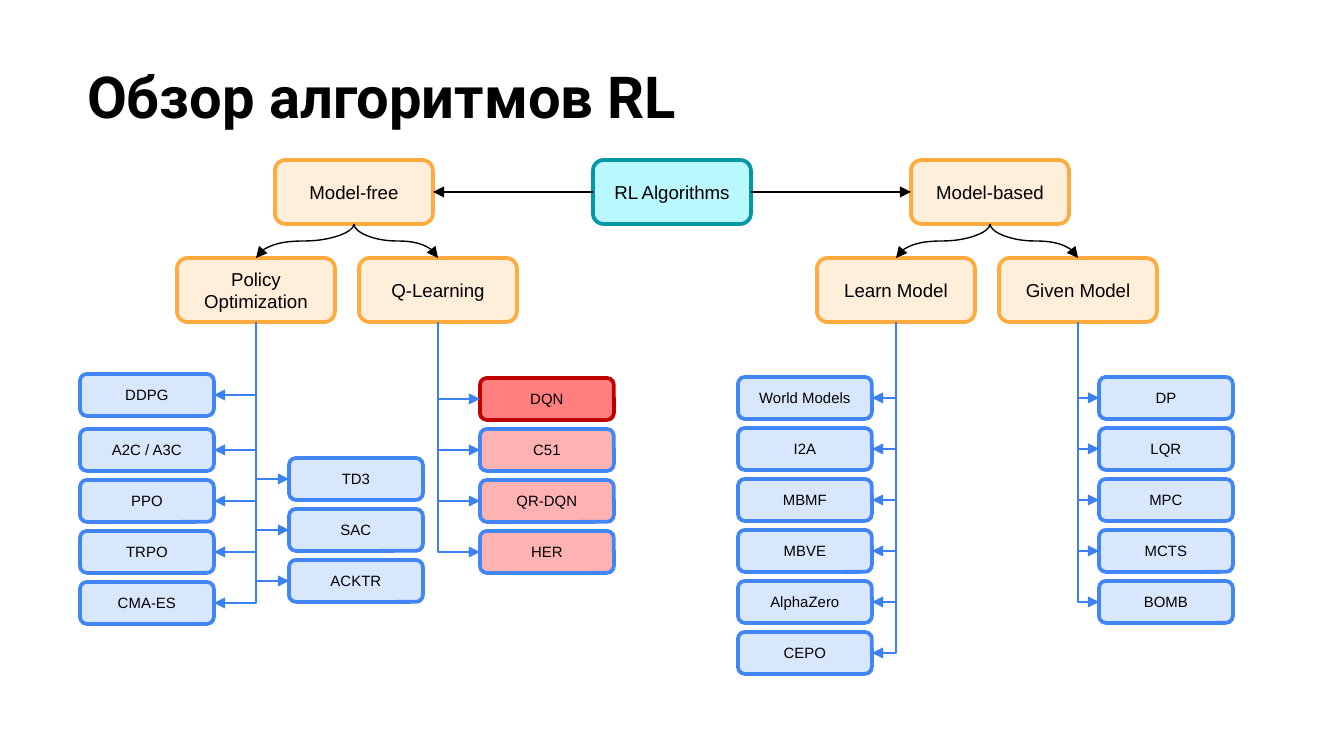
"""Build a slide with the tree of reinforcement learning algorithms."""
from lxml.etree import SubElement
from pptx import Presentation
from pptx.dml.color import RGBColor
from pptx.enum.shapes import MSO_CONNECTOR, MSO_SHAPE
from pptx.enum.text import MSO_ANCHOR, MSO_AUTO_SIZE, PP_ALIGN
from pptx.oxml.ns import qn
from pptx.util import Pt

PX = 914400 / 134.4
GROUP_WIDTH, GROUP_HEIGHT = 158, 64
LEAF_WIDTH, LEAF_HEIGHT, LEAF_PITCH = 134, 42, 51
ROOT_TOP, BRANCH_TOP = 160, 258
ORANGE = ("FFEED9", "FFAB40", 100)
TEAL = ("BAF8FF", "0097A7", 100)
BLUE = ("D9E7FD", "4285F4", 100)
PINK = ("FF0000", "4285F4", 30)
RED = ("FF0000", "C00000", 50)

presentation = Presentation()
presentation.slide_width = round(1344 * PX)
presentation.slide_height = round(756 * PX)
slide = presentation.slides.add_slide(presentation.slide_layouts[5])
color = RGBColor.from_string


def add_box(text, left, top, width, height, size, style):
    fill, line, opacity = style
    shape = slide.shapes.add_shape(
        MSO_SHAPE.ROUNDED_RECTANGLE, *(round(value * PX) for value in (left, top, width, height))
    )
    shape.shadow.inherit = False
    shape.fill.solid()
    shape.fill.fore_color.rgb = color(fill)
    if opacity < 100:
        fill_color = shape._element.spPr.find(qn("a:solidFill"))[0]
        SubElement(fill_color, qn("a:alpha"), val=str(opacity * 1000))
    shape.line.color.rgb = color(line)
    shape.line.width = Pt(2)
    frame = shape.text_frame
    frame.word_wrap = True
    frame.vertical_anchor = MSO_ANCHOR.MIDDLE
    paragraph = frame.paragraphs[0]
    paragraph.alignment = PP_ALIGN.CENTER
    run = paragraph.add_run()
    run.text = text
    run.font.name = "Arial"
    run.font.size = Pt(size)
    run.font.color.rgb = color("000000")


def add_arrow(kind, start, end, line, preset=None):
    (x1, y1), (x2, y2) = start, end
    rightward = x2 > x1
    if preset:
        length, depth = y2 - y1, abs(x2 - x1)
        left, top = (x1 + x2 - length) / 2, (y1 + y2 - depth) / 2
        x1, x2 = (left + length, left) if rightward else (left, left + length)
        y1, y2 = top, top + depth
    connector = slide.shapes.add_connector(kind, *(round(value * PX) for value in (x1, y1, x2, y2)))
    properties = connector._element.spPr
    if preset:
        connector.rotation = 270 if rightward else 90
        properties.find(qn("a:prstGeom")).set("prst", preset)
    connector.line.color.rgb = color(line)
    connector.line.width = Pt(0.75)
    SubElement(properties.find(qn("a:ln")), qn("a:tailEnd"), type="triangle")
    SubElement(properties, qn("a:effectLst"))


title = slide.shapes.title
title.left, title.top, title.width, title.height = (round(value * PX) for value in (74, 48, 1253, 161))
frame = title.text_frame
frame.word_wrap = True
frame.auto_size = MSO_AUTO_SIZE.NONE
frame.vertical_anchor = MSO_ANCHOR.TOP
frame.margin_left = frame.margin_right = frame.margin_top = frame.margin_bottom = round(13 * PX)
paragraph = frame.paragraphs[0]
paragraph.alignment = PP_ALIGN.LEFT
run = paragraph.add_run()
run.text = "Обзор алгоритмов RL"
run.font.name = "Roboto"
run.font.size = Pt(31)
run.font.bold = True
run.font.color.rgb = color("000000")

root_left = 593
add_box("RL Algorithms", root_left, ROOT_TOP, GROUP_WIDTH, GROUP_HEIGHT, 10, TEAL)

families = [
    ("Model-free", 275, [("Policy Optimization", 177), ("Q-Learning", 359)]),
    ("Model-based", 911, [("Learn Model", 817), ("Given Model", 999)]),
]
for family, left, branches in families:
    add_box(family, left, ROOT_TOP, GROUP_WIDTH, GROUP_HEIGHT, 10, ORANGE)
    middle = ROOT_TOP + GROUP_HEIGHT / 2
    if left < root_left:
        start, end = (root_left, middle), (left + GROUP_WIDTH, middle)
    else:
        start, end = (root_left + GROUP_WIDTH, middle), (left, middle)
    add_arrow(MSO_CONNECTOR.STRAIGHT, start, end, "000000")
    for branch, branch_left in branches:
        add_box(branch, branch_left, BRANCH_TOP, GROUP_WIDTH, GROUP_HEIGHT, 10, ORANGE)
        start = (left + GROUP_WIDTH / 2, ROOT_TOP + GROUP_HEIGHT)
        end = (branch_left + GROUP_WIDTH / 2, BRANCH_TOP)
        add_arrow(MSO_CONNECTOR.CURVE, start, end, "000000", "curvedConnector3")

columns = [
    (177, 80, 374, BLUE, ["DDPG"]),
    (177, 80, 429, BLUE, ["A2C / A3C", "PPO", "TRPO", "CMA-ES"]),
    (177, 289, 458, BLUE, ["TD3", "SAC", "ACKTR"]),
    (359, 480, 378, RED, ["DQN"]),
    (359, 480, 429, PINK, ["C51", "QR-DQN", "HER"]),
    (817, 738, 377, BLUE, ["World Models", "I2A", "MBMF", "MBVE", "AlphaZero", "CEPO"]),
    (999, 1099, 377, BLUE, ["DP", "LQR", "MPC", "MCTS", "BOMB"]),
]
for branch_left, left, first_top, style, algorithms in columns:
    stem = branch_left + GROUP_WIDTH / 2
    edge = left if left > stem else left + LEAF_WIDTH
    for index, algorithm in enumerate(algorithms):
        top = first_top + index * LEAF_PITCH
        add_box(algorithm, left, top, LEAF_WIDTH, LEAF_HEIGHT, 8, style)
        start, end = (stem, BRANCH_TOP + GROUP_HEIGHT), (edge, top + LEAF_HEIGHT / 2)
        add_arrow(MSO_CONNECTOR.ELBOW, start, end, "3C81F3", "bentConnector2")

presentation.save("out.pptx")
